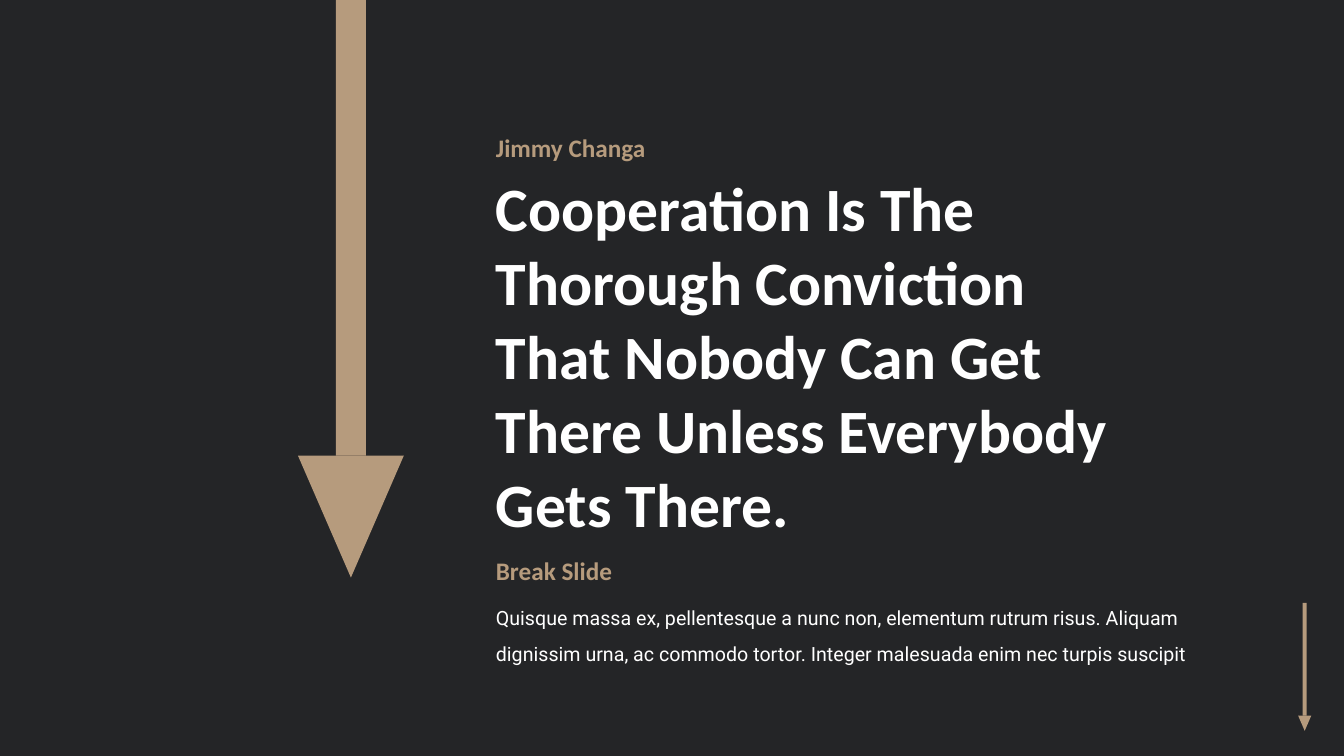
import pptx
import pptx.dml.color
import pptx.enum.shapes
import pptx.enum.text
import pptx.oxml
import pptx.oxml.ns
import pptx.util
from dataclasses import dataclass

Inches = pptx.util.Inches
Shape = pptx.enum.shapes.MSO_SHAPE


@dataclass(frozen=True)
class Theme:
    dark: str = "242527"
    gold: str = "B69B7D"
    white: str = "FFFFFF"
    heading_font: str = "Calibri"
    body_font: str = "Roboto"
    quote_size: int = 44
    label_size: int = 18
    body_size: int = 14


def rgb(value):
    return pptx.dml.color.RGBColor.from_string(value)


def write_text(frame, text, *, size, font, color, bold=False, spacing=None):
    """Fill a text frame, one paragraph for each line of text."""
    for index, line in enumerate(text.split("\n")):
        paragraph = frame.add_paragraph() if index else frame.paragraphs[0]
        if spacing:
            paragraph.line_spacing = spacing
        run = paragraph.add_run()
        run.text = line
        run.font.size = pptx.util.Pt(size)
        run.font.name = font
        run.font.bold = bold
        run.font.color.rgb = rgb(color)


class SlideBuilder:
    def __init__(self, slide, theme):
        self.slide = slide
        self.theme = theme

    def background(self, color):
        fill = self.slide.background.fill
        fill.solid()
        fill.fore_color.rgb = rgb(color)

    def shape(self, kind, left, top, width, height, color,
              parent=None, rotation=0, opacity=None):
        shapes = (parent or self.slide).shapes
        shape = shapes.add_shape(kind, Inches(left), Inches(top),
                                 Inches(width), Inches(height))
        shape.rotation = rotation
        shape.shadow.inherit = False
        shape.fill.solid()
        shape.fill.fore_color.rgb = rgb(color)
        shape.line.fill.background()
        if opacity is not None:
            color_node = shape.fill._xPr.find(".//" + pptx.oxml.ns.qn("a:srgbClr"))
            alpha = pptx.oxml.parse_xml(
                f'<a:alpha {pptx.oxml.ns.nsdecls("a")} val="{opacity * 1000}"/>')
            color_node.append(alpha)
        return shape

    def down_arrow(self, center, neck, length, thickness, head_width, head_height):
        """Group a shaft ending at the neck height with a head below it."""
        arrow = self.slide.shapes.add_group_shape()
        self.shape(Shape.RECTANGLE, center - length / 2,
                   neck - length / 2 - thickness / 2, length, thickness,
                   self.theme.gold, parent=arrow, rotation=90)
        self.shape(Shape.ISOSCELES_TRIANGLE, center - head_width / 2, neck,
                   head_width, head_height, self.theme.gold,
                   parent=arrow, rotation=180)

    def text(self, text, left, top, width, height, **text_format):
        box = self.slide.shapes.add_textbox(Inches(left), Inches(top),
                                            Inches(width), Inches(height))
        frame = box.text_frame
        frame.word_wrap = True
        frame.auto_size = pptx.enum.text.MSO_AUTO_SIZE.SHAPE_TO_FIT_TEXT
        write_text(frame, text, **text_format)

    def label(self, text, left, top, width):
        self.text(text, left, top, width, 0.4, size=self.theme.label_size,
                  font=self.theme.heading_font, color=self.theme.gold, bold=True)


def main():
    deck = pptx.Presentation()
    deck.slide_width, deck.slide_height = Inches(13.33), Inches(7.5)
    theme = Theme()
    page = SlideBuilder(deck.slides.add_slide(deck.slide_layouts[6]), theme)

    page.background(theme.dark)
    page.shape(Shape.RECTANGLE, 1.96, 0, 11.38, 7.5, theme.dark, opacity=85)
    page.down_arrow(12.94, 7.1, 1.12, 0.04, 0.13, 0.15)
    page.down_arrow(3.48, 4.52, 4.91, 0.3, 1.05, 1.21)

    text_left = 4.82
    page.text("Cooperation Is The\nThorough Conviction\nThat Nobody Can Get\n"
              "There Unless Everybody\nGets There.",
              text_left, 1.64, 7.72, 3.8, size=theme.quote_size,
              font=theme.heading_font, color=theme.white, bold=True)
    page.label("Jimmy Changa", text_left, 1.26, 2.42)
    page.text("Quisque massa ex, pellentesque a nunc non, elementum rutrum risus. "
              "Aliquam dignissim urna, ac commodo tortor. Integer malesuada enim "
              "nec turpis suscipit",
              text_left, 5.85, 7.21, 0.77, size=theme.body_size,
              font=theme.body_font, color=theme.white, spacing=1.5)
    page.label("Break Slide", text_left, 5.46, 2.23)

    deck.save("out.pptx")


if __name__ == "__main__":
    main()
